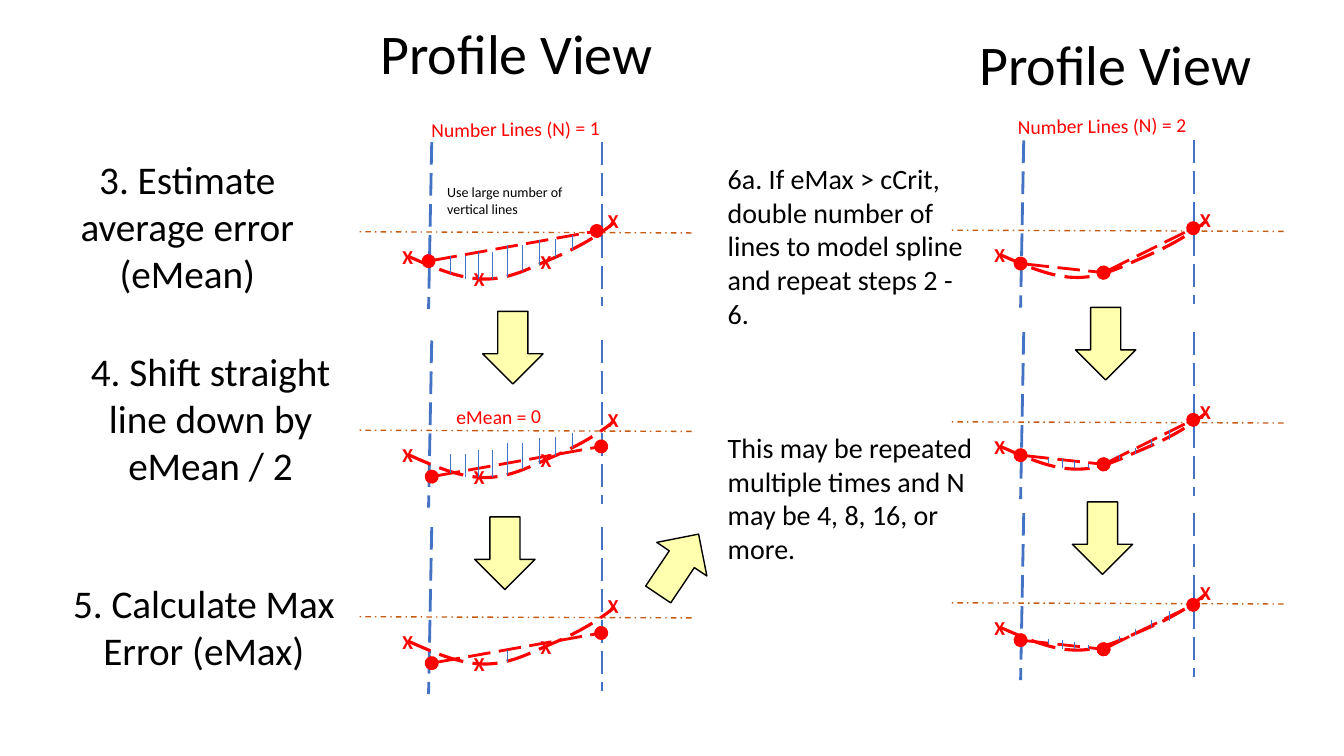
from itertools import pairwise

from lxml.etree import SubElement
from pptx import Presentation
from pptx.dml.color import RGBColor
from pptx.enum.dml import MSO_LINE_DASH_STYLE as Dash
from pptx.enum.shapes import MSO_CONNECTOR, MSO_SHAPE
from pptx.enum.text import MSO_AUTO_SIZE, PP_ALIGN
from pptx.oxml.ns import qn
from pptx.util import Cm, Pt

RED = RGBColor(0xFF, 0x00, 0x00)
BLUE = RGBColor(0x44, 0x72, 0xC4)
BROWN = RGBColor(0xC5, 0x5A, 0x11)
BLACK = RGBColor(0x00, 0x00, 0x00)
YELLOW = RGBColor(0xFF, 0xFF, 0x00)
TILT = -0.6

SPLINE = [
    (1.22, 2.87),
    (1.85, 3.15), (2.49, 3.43), (3.07, 3.45),
    (3.63, 3.48), (4.11, 3.28), (4.67, 3.02),
    (5.23, 2.79), (5.87, 2.49), (6.43, 2.03),
]
END_MARKS = [(0.84, 2.46), (6.02, 1.57)]
ALL_MARKS = END_MARKS + [(2.64, 3.02), (4.32, 2.59)]
CHORD = [(1.75, 3.0), (5.99, 2.24)]
SHIFTED_CHORD = [(1.83, 3.43), (6.1, 2.67)]
TWO_CHORDS = [(1.75, 3.1), (3.84, 3.33), (6.1, 2.21)]
LOWERED_CHORDS = [(x, y + 0.1) for x, y in TWO_CHORDS]
ERRORS = [
    (2.31, 2.87, 3.33), (2.67, 2.87, 3.45), (3.0, 2.77, 3.45),
    (3.35, 2.77, 3.45), (3.73, 2.59, 3.4), (4.11, 2.59, 3.25),
    (4.55, 2.46, 3.1), (4.95, 2.44, 2.9), (5.38, 2.34, 2.72),
]
MAX_ERROR = [(3.73, 3.09, 3.4)]
SMALL_ERRORS = [
    (2.44, 3.18, 3.3), (2.79, 3.2, 3.43), (3.1, 3.25, 3.43),
    (3.45, 3.33, 3.43), (4.24, 3.1, 3.23), (4.65, 2.92, 3.07),
    (5.05, 2.69, 2.87), (5.49, 2.46, 2.72),
]
LEFT_PANELS = [
    (3.58, CHORD, ERRORS),
    (8.58, SHIFTED_CHORD, ERRORS),
    (13.28, SHIFTED_CHORD, MAX_ERROR),
]
RIGHT_PANELS = [
    (3.54, TWO_CHORDS, []),
    (8.37, TWO_CHORDS, SMALL_ERRORS),
    (12.93, LOWERED_CHORDS, SMALL_ERRORS),
]
STEPS = [
    (1.0, 3.78, 7.44, 3.84, "3. Estimate average error (eMean)"),
    (1.28, 8.62, 8.05, 3.84, "4. Shift straight line down by eMean / 2"),
    (1.11, 14.48, 8.05, 2.64, "5. Calculate Max Error (eMax)"),
]
REPEAT_NOTES = [
    "6a. If eMax > cCrit, double number of lines to model spline "
    "and repeat steps 2 - 6.",
    "This may be repeated multiple times and N may be 4, 8, 16, or more.",
]
ARROWS = [
    (12.01, 8.0, 270), (11.81, 13.18, 270), (16.18, 13.46, 123.8),
    (26.95, 7.9, 270), (26.87, 12.8, 270),
]


def add_text(page, box, lines, size, color=BLACK, bold=False,
             align=PP_ALIGN.LEFT, gap=0, tilt=0):
    """Place a wrapped text box with one paragraph per line."""
    label = page.shapes.add_textbox(*map(Cm, box))
    label.rotation = tilt
    frame = label.text_frame
    frame.word_wrap = True
    frame.auto_size = MSO_AUTO_SIZE.SHAPE_TO_FIT_TEXT
    frame.text = "\n".join(lines)
    for index, para in enumerate(frame.paragraphs):
        para.alignment = align
        para.space_before = Pt(gap if index else 0)
        para.font.name = "Calibri"
        para.font.size = Pt(size)
        para.font.bold = bold
        para.font.color.rgb = color


def style_line(line, color, width, dash=None):
    """Set the colour, width and dash of a line."""
    line.color.rgb = color
    line.width = Pt(width)
    if dash:
        line.dash_style = dash


def add_line(page, start, end, color, width, dash=None, dots=False):
    """Draw a straight line, with round dots at both ends if asked."""
    rule = page.shapes.add_connector(
        MSO_CONNECTOR.STRAIGHT, *map(Cm, (*start, *end)))
    style_line(rule.line, color, width, dash)
    properties = rule._element.spPr
    if dots:
        for tag in ("a:headEnd", "a:tailEnd"):
            SubElement(properties.find(qn("a:ln")), qn(tag),
                       type="oval", w="lg", len="lg")
    SubElement(properties, qn("a:effectLst"))


def add_spline(page, points):
    """Draw a smooth curve from a start and triples of control points."""
    start, *controls = [tuple(map(Cm, point)) for point in points]
    builder = page.shapes.build_freeform(*start)
    builder.add_line_segments(controls, close=False)
    curve = builder.convert_to_shape()
    outline = curve._element.spPr.find(".//" + qn("a:path"))
    segments = outline.findall(qn("a:lnTo"))
    for index, segment in enumerate(segments):
        if index % 3 == 0:
            bend = SubElement(outline, qn("a:cubicBezTo"))
        bend.append(segment[0])
        outline.remove(segment)
    curve.shadow.inherit = False
    curve.fill.background()
    style_line(curve.line, RED, 2.25, Dash.LONG_DASH)


def draw_panel(page, left, top, chords, errors, marks):
    """Draw one profile with its spline, chords and error lines."""
    def at(x, y):
        return left + x, top + y

    add_line(page, at(1.83, 0), at(1.75, 4.21), BLUE, 2, Dash.LONG_DASH)
    add_line(page, at(6.12, 0), at(6.12, 4.13), BLUE, 2, Dash.LONG_DASH)
    add_line(page, at(8.38, 2.29), at(0, 2.26), BROWN, 1, Dash.DASH_DOT)
    for mark in marks:
        add_text(page, (*at(*mark), 0.81, 0.86), ["X"], 14, RED, True, tilt=TILT)
    add_spline(page, [at(*point) for point in SPLINE])
    for start, end in pairwise(chords):
        add_line(page, at(*start), at(*end), RED, 2, Dash.LONG_DASH, dots=True)
    for x, upper, lower in errors:
        add_line(page, at(x, upper), at(x, lower), BLUE, 0.5)


def draw_column(page, left, title_box, label_box, count, panels, marks):
    """Draw a titled column of profile panels."""
    add_text(page, title_box, ["Profile View"], 40)
    for top, chords, errors in panels:
        draw_panel(page, left, top, chords, errors, marks)
    add_text(page, label_box, [f"Number Lines (N) = {count}"], 14, RED, tilt=TILT)


def draw_arrow(page, left, top, angle):
    """Draw a pale yellow block arrow turned by the angle."""
    arrow = page.shapes.add_shape(
        MSO_SHAPE.LEFT_ARROW, *map(Cm, (left, top, 1.83, 1.52)))
    arrow.rotation = angle
    arrow.shadow.inherit = False
    arrow.fill.solid()
    arrow.fill.fore_color.rgb = YELLOW
    tint = arrow._element.spPr.find(qn("a:solidFill"))[0]
    SubElement(tint, qn("a:alpha"), val="32000")
    style_line(arrow.line, BLACK, 1)


def draw_notes(page):
    """Place the step texts and the remarks beside the panels."""
    for *box, step in STEPS:
        add_text(page, box, [step], 28, align=PP_ALIGN.CENTER)
    add_text(page, (18.09, 3.95, 6.78, 10.52), REPEAT_NOTES, 20, gap=72)
    add_text(page, (11.02, 4.5, 3.81, 1.12),
             ["Use large number of vertical lines"], 10)
    add_text(page, (11.25, 10.06, 5.23, 0.86), ["eMean = 0"], 14, RED, tilt=TILT)


def main():
    """Build and save the slide."""
    deck = Presentation()
    deck.slide_width, deck.slide_height = Cm(33.87), Cm(19.05)
    page = deck.slides.add_slide(deck.slide_layouts[6])
    draw_column(page, 9.05, (9.34, 0.33, 8.13, 1.96),
                (10.62, 2.82, 5.23, 0.86), 1, LEFT_PANELS, ALL_MARKS)
    draw_column(page, 23.97, (24.43, 0.61, 8.13, 1.96),
                (25.4, 2.74, 5.23, 0.86), 2, RIGHT_PANELS, END_MARKS)
    draw_notes(page)
    for arrow in ARROWS:
        draw_arrow(page, *arrow)
    deck.save("out.pptx")


main()
